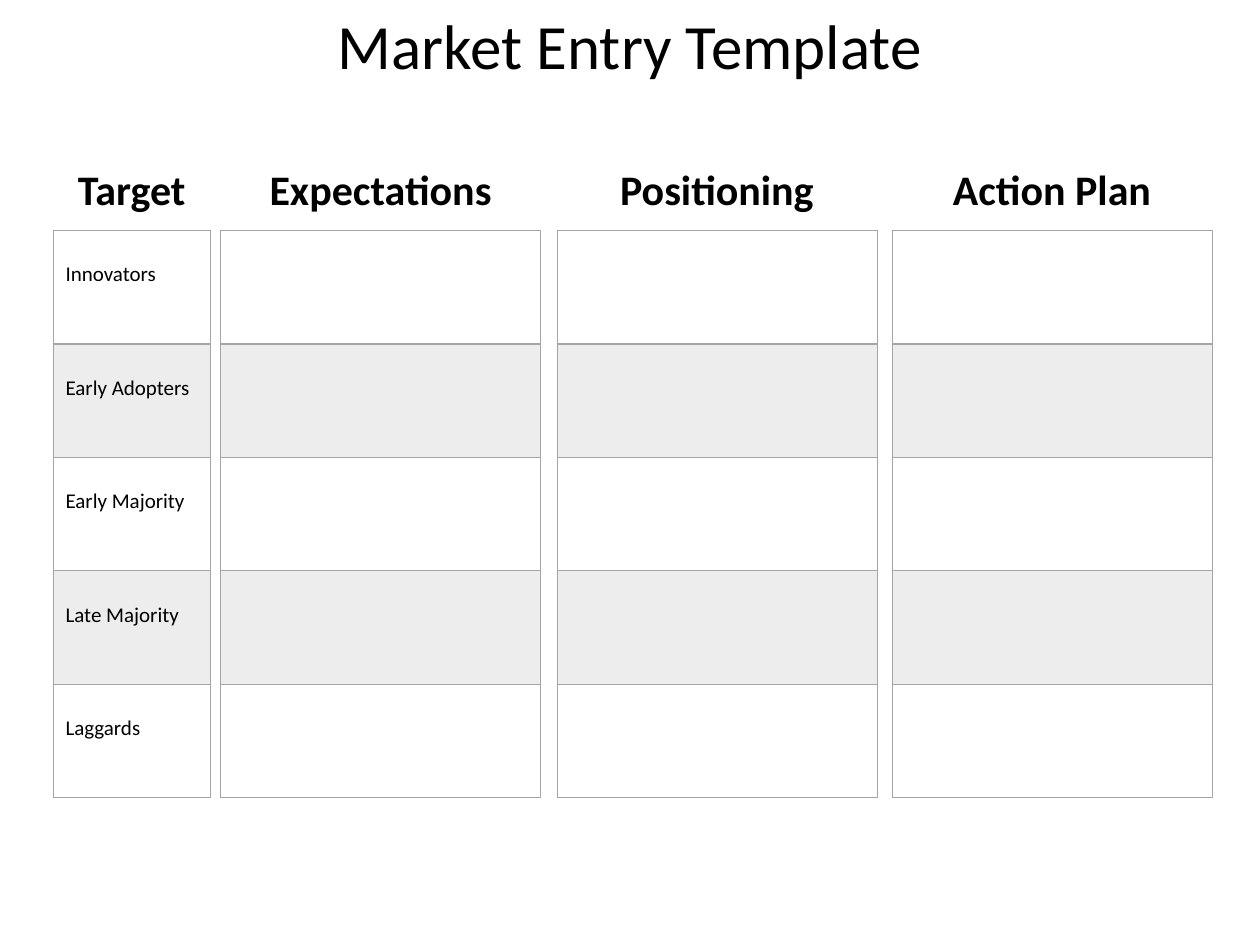
from lxml import etree
from pptx import Presentation
from pptx.dml.color import RGBColor
from pptx.enum.text import MSO_ANCHOR, PP_ALIGN
from pptx.oxml.ns import qn
from pptx.util import Inches, Pt

BLACK = RGBColor(0x00, 0x00, 0x00)
GRAY = RGBColor(0xA5, 0xA5, 0xA5)
FONT = "Calibri"
THIN, THICK = 0.45, 0.96
TABLE_TOP, ROW_H = 1.83, 0.9

TARGETS = ["Innovators", "Early Adopters", "Early Majority",
           "Late Majority", "Laggards"]
# heading, left, width, cell texts
COLUMNS = [("Target", 0.42, 1.25, TARGETS)]
for i, heading in enumerate(["Expectations", "Positioning", "Action Plan"]):
    COLUMNS.append((heading, round(1.75 + i * 2.665, 2), 2.54, [""] * len(TARGETS)))

prs = Presentation()
prs.slide_width, prs.slide_height = Inches(10), Inches(7.5)
s = prs.slides.add_slide(prs.slide_layouts[6])


def add_run(p, text, size, bold=False):
    r = p.add_run()
    r.text = text
    r.font.name, r.font.size, r.font.bold = FONT, Pt(size), bold
    r.font.color.rgb = BLACK


def add_heading(text, left, top, width, height, size, bold=False):
    tf = s.shapes.add_textbox(Inches(left), Inches(top),
                              Inches(width), Inches(height)).text_frame
    tf.word_wrap = True
    p = tf.paragraphs[0]
    p.alignment = PP_ALIGN.CENTER
    add_run(p, text, size, bold)


# Title
add_heading("Market Entry Template", 0, 0, 10, 0.7, 36)

# One heading and one single-column table per topic
for heading, left, width, texts in COLUMNS:
    add_heading(heading, left, 1.25, width, 0.5, 24, bold=True)
    table = s.shapes.add_table(len(texts), 1, Inches(left), Inches(TABLE_TOP),
                               Inches(width), Inches(ROW_H * len(texts))).table
    table.first_row = table.horz_banding = False

    for row, text in enumerate(texts):
        table.rows[row].height = Inches(ROW_H)
        cell = table.cell(row, 0)
        cell.vertical_anchor = MSO_ANCHOR.MIDDLE
        # Larger bottom margin lifts the label above the middle
        cell.margin_bottom = Inches(0.25)
        if text:
            add_run(cell.text_frame.paragraphs[0], text, 12)

        # Borders, heavier between the first two rows
        tc_pr = cell._tc.get_or_add_tcPr()
        widths = {"L": THIN, "R": THIN,
                  "T": THICK if row == 1 else THIN,
                  "B": THICK if row == 0 else THIN}
        for side, line_w in widths.items():
            ln = etree.SubElement(tc_pr, qn("a:ln" + side), w=str(Pt(line_w)))
            fill = etree.SubElement(ln, qn("a:solidFill"))
            etree.SubElement(fill, qn("a:srgbClr"), val=str(GRAY))

        # Translucent gray on every second row
        if row % 2:
            cell.fill.solid()
            cell.fill.fore_color.rgb = GRAY
            color = tc_pr.find(qn("a:solidFill")).find(qn("a:srgbClr"))
            etree.SubElement(color, qn("a:alpha"), val="20000")
        else:
            cell.fill.background()

prs.save("out.pptx")
